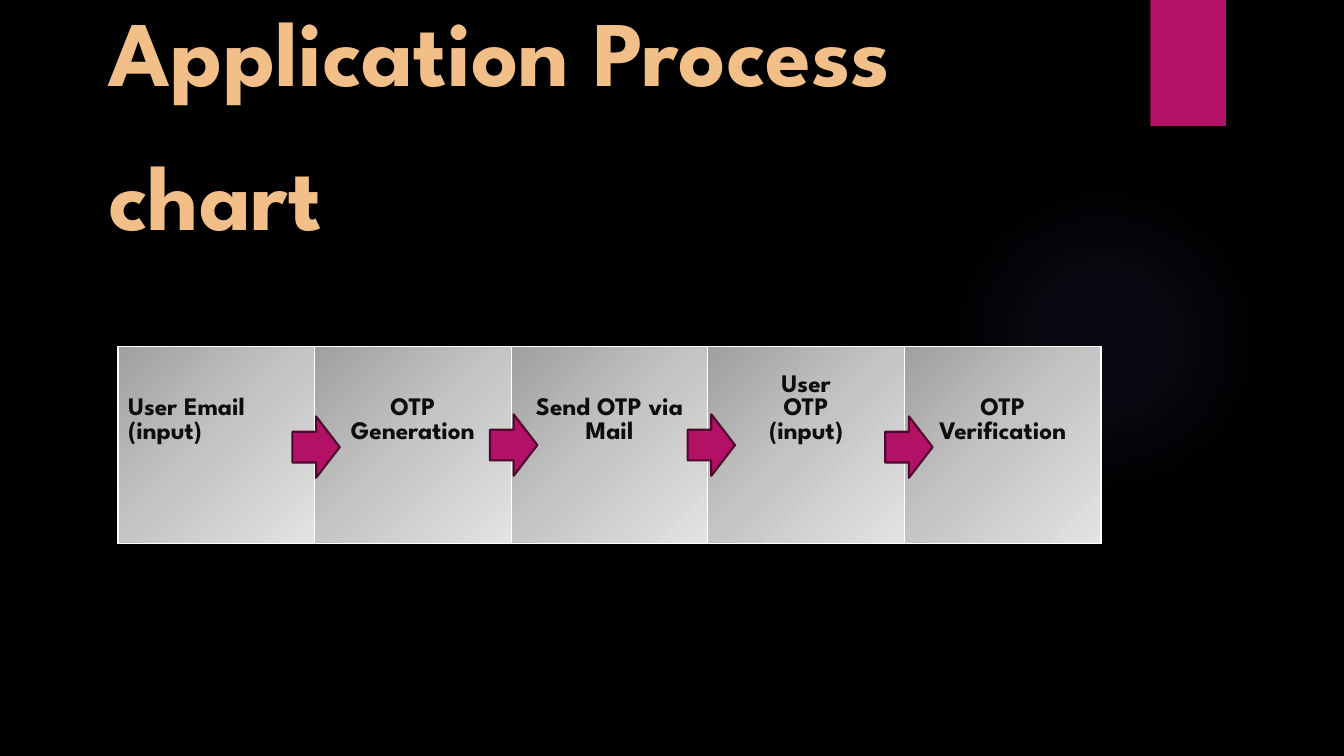
from lxml import etree
from pptx import Presentation, util as u
from pptx.dml.color import RGBColor
from pptx.enum import shapes, text
from pptx.oxml import parse_xml
from pptx.oxml.ns import nsdecls, qn

# Content
TITLE = "Application Process chart"
L, C = text.PP_ALIGN.LEFT, text.PP_ALIGN.CENTER
# lines, alignment, blank height above the text in lines
STEPS = [
    (["User Email", "(input)"], L, 2),
    (["OTP", "Generation"], C, 2),
    (["Send OTP via Mail"], C, 2),
    (["User", "OTP", "(input)"], C, 1),
    (["OTP", "Verification"], C, 2),
]
ARROW_TOPS = [4.2, 4.18, 4.18, 4.2]

FONT = "League Spartan"
COLORS = {"bg": "000000", "accent": "B31166", "arrow_line": "4E072D", "title": "F2BF89",
          "step": "0D0D0D", "border": "FFFFFF", "glow": "9B6BF2"}
GLOW = [(0, COLORS["glow"], 7), (36, COLORS["glow"], 6), (69, COLORS["glow"], 0)]
SILVER = [(0, "A0A0A0", 100), (50, "C5C5C5", 100), (100, "E3E3E3", 100)]
LINEAR = '<a:lin ang="2700000" scaled="0"/>'
RADIAL = ('<a:path path="circle"><a:fillToRect l="50000" t="50000" r="50000" b="50000"/>'
          '</a:path>')

# Table grid, in inches
LEFT, TOP, CELL = 1.17, 3.44, 1.95
MARGIN, LINE = 0.05, 0.23


def rgb(name):
    return RGBColor.from_string(COLORS[name])


def gradient(fill, props, stops, direction):
    """Give a shape or a cell a gradient fill."""
    gs = "".join(f'<a:gs pos="{pos * 1000}"><a:srgbClr val="{color}">'
                 f'<a:alpha val="{alpha * 1000}"/></a:srgbClr></a:gs>'
                 for pos, color, alpha in stops)
    fill.background()
    props.replace(props.find(qn("a:noFill")), parse_xml(
        f'<a:gradFill {nsdecls("a")} rotWithShape="1"><a:gsLst>{gs}</a:gsLst>'
        f'{direction}</a:gradFill>'))


def add_shape(kind, x, y, w, h, fill=None):
    sp = s.shapes.add_shape(kind, *map(u.Inches, (x, y, w, h)))
    sp.shadow.inherit = False
    sp.line.fill.background()
    if fill:
        sp.fill.solid()
        sp.fill.fore_color.rgb = rgb(fill)
    return sp


def add_run(p, words, size, color):
    r = p.add_run()
    r.text = words
    r.font.name, r.font.size, r.font.bold = FONT, u.Pt(size), True
    r.font.color.rgb = rgb(color)


prs = Presentation()
prs.slide_width, prs.slide_height = u.Inches(13.33), u.Inches(7.5)
s = prs.slides.add_slide(prs.slide_layouts[6])
s.background.fill.solid()
s.background.fill.fore_color.rgb = rgb("bg")

# Glow and bookmark
glow = add_shape(shapes.MSO_SHAPE.OVAL, 9.41, 1.83, 3.08, 3.08)
gradient(glow.fill, glow._element.spPr, GLOW, RADIAL)
mark = add_shape(shapes.MSO_SHAPE.RECTANGLE, 11.41, 0, 0.75, 1.25, "accent")
shadow = etree.SubElement(mark._element.spPr.find(qn("a:effectLst")), qn("a:outerShdw"),
                          blurRad=str(u.Pt(3)), dist=str(u.Pt(2)), dir="5400000")
shade = etree.SubElement(shadow, qn("a:srgbClr"), val="000000")
etree.SubElement(shade, qn("a:alpha"), val="45000")

# Title
tf = s.shapes.add_textbox(*map(u.Inches, (0.98, 0.43, 9.65, 2.09))).text_frame
tf.word_wrap = True
tf.vertical_anchor = text.MSO_ANCHOR.BOTTOM
tf.paragraphs[0].line_spacing = 1.3
add_run(tf.paragraphs[0], TITLE, 66, "title")

# Process steps
table = s.shapes.add_table(1, len(STEPS), *map(
    u.Inches, (LEFT, TOP, CELL * len(STEPS), CELL))).table
table.first_row = table.horz_banding = False
for i, (lines, align, blank) in enumerate(STEPS):
    table.columns[i].width = u.Inches(CELL)
    cell = table.cell(0, i)
    cell.margin_top = u.Inches(MARGIN + blank * LINE)
    tf = cell.text_frame
    for n, words in enumerate(lines):
        p = tf.add_paragraph() if n else tf.paragraphs[0]
        p.alignment = align
        add_run(p, words, 18, "step")
    props = cell._tc.get_or_add_tcPr()
    gradient(cell.fill, props, SILVER, LINEAR)
    for n, side in enumerate("LRTB"):
        props.insert(n, parse_xml(
            f'<a:ln{side} {nsdecls("a")} w="{u.Pt(1)}"><a:solidFill>'
            f'<a:srgbClr val="{COLORS["border"]}"/></a:solidFill></a:ln{side}>'))

# Arrows across the cell borders
for i, top in enumerate(ARROW_TOPS):
    arrow = add_shape(shapes.MSO_SHAPE.DOWN_ARROW, 2.83 + 1.96 * i, top, 0.61, 0.47, "accent")
    arrow.rotation = 270
    arrow.line.color.rgb = rgb("arrow_line")
    arrow.line.width = u.Pt(1.5)

prs.save("out.pptx")
